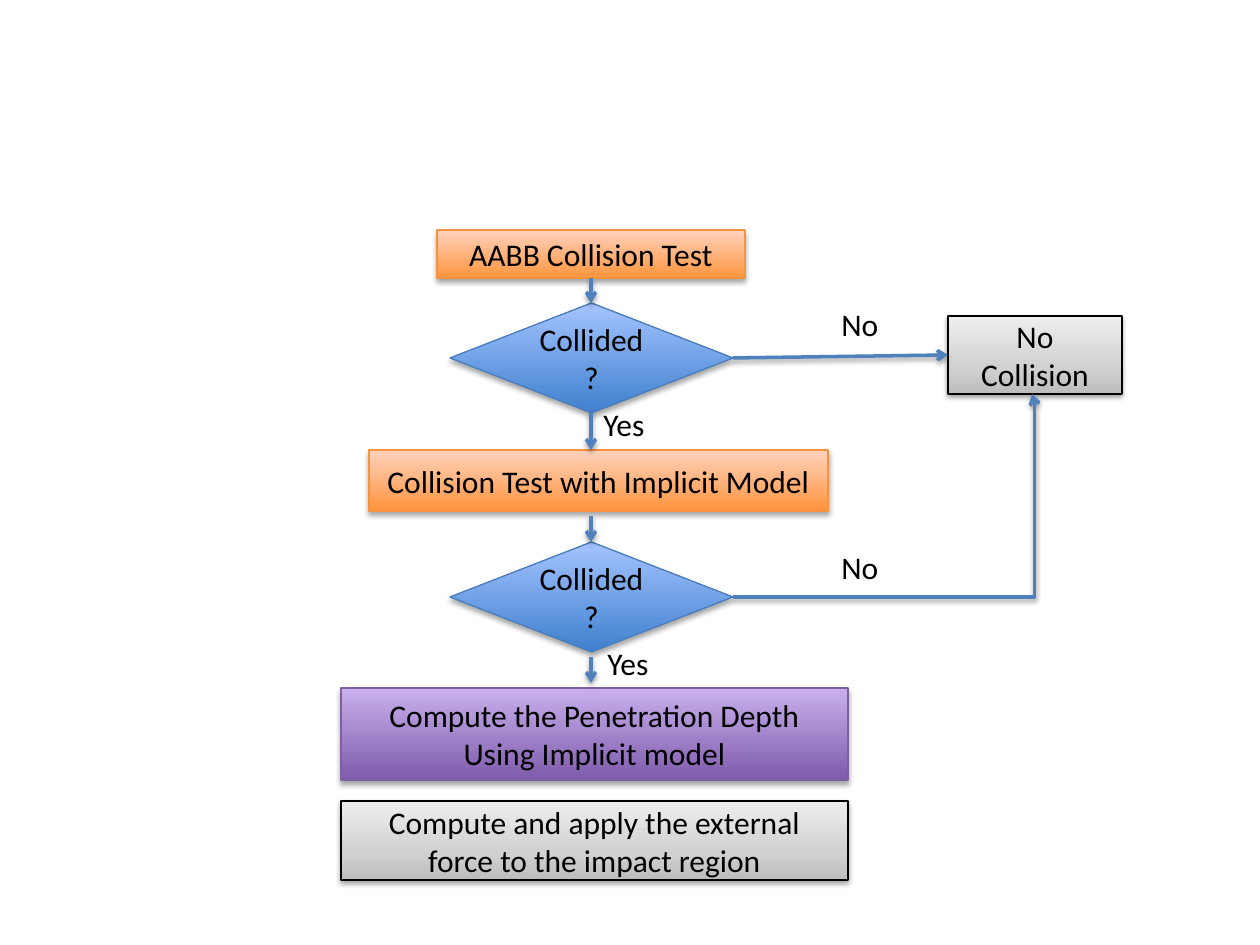
from pptx import Presentation
from pptx.dml.color import RGBColor
from pptx.enum.shapes import MSO_CONNECTOR, MSO_SHAPE
from pptx.enum.text import MSO_ANCHOR, MSO_AUTO_SIZE, PP_ALIGN
from pptx.oxml import parse_xml
from pptx.oxml.ns import nsdecls, qn
from pptx.util import Pt

PX = 914400 / 126
SLIDE = (1260, 945)
AXIS = 591

PALETTES = {
    "orange": {"stops": [(0, "FF953E"), (100, "FFD2BD")], "line": "F69240", "shadow": (35, 1.8)},
    "blue": {"stops": [(0, "3F80CE"), (100, "A4C4FF")], "line": "4B7EBC", "shadow": (35, 1.8)},
    "purple": {"stops": [(0, "7F5BAB"), (100, "C8B0ED")], "line": "7D60A0", "shadow": (35, 1.8)},
    "grey": {"stops": [(0, "BDBDBD"), (35, "D1D1D1"), (100, "EEEEEE")], "line": "000000", "shadow": (38, 1.6)},
}
STEPS = [
    ("AABB Collision Test", "orange", MSO_SHAPE.RECTANGLE, (437, 230, 308, 48)),
    ("Collided?", "blue", MSO_SHAPE.DIAMOND, (450, 303, 283, 110)),
    ("Collision Test with Implicit Model", "orange", MSO_SHAPE.RECTANGLE, (369, 450, 459, 61)),
    ("Collided?", "blue", MSO_SHAPE.DIAMOND, (450, 542, 283, 110)),
    ("Compute the Penetration Depth Using Implicit model", "purple", MSO_SHAPE.RECTANGLE, (341, 688, 507, 92)),
    ("No Collision", "grey", MSO_SHAPE.RECTANGLE, (948, 316, 174, 78)),
    ("Compute and apply the external force to the impact region", "grey", MSO_SHAPE.RECTANGLE, (341, 801, 507, 79)),
]
DOWN_ARROWS = [(278, 303), (413, 450), (516, 542), (657, 683)]
SIDE_ARROW = (733, 358, 948, 355)
RETURN_ARROW = (733, 597, 1032, 394)
RETURN_BEND = 100900
LABELS = [
    ("No", (829, 542, 63, 50)),
    ("No", (829, 299, 63, 50)),
    ("Yes", (591, 399, 69, 50)),
    ("Yes", (595, 638, 69, 50)),
]
STEP_FRAME = {"word_wrap": True, "vertical_anchor": MSO_ANCHOR.MIDDLE}
LABEL_FRAME = {"word_wrap": False, "auto_size": MSO_AUTO_SIZE.SHAPE_TO_FIT_TEXT}
FONT = {"name": "Calibri", "size": Pt(18)}


def emu(lengths):
    return [round(length * PX) for length in lengths]


def colour(value):
    return RGBColor.from_string(value)


def apply_format(target, values):
    for name, value in values.items():
        setattr(target, name, value)


def write(box, text, frame_format, alignment):
    frame = box.text_frame
    apply_format(frame, frame_format)
    para = frame.paragraphs[0]
    para.alignment = alignment
    span = para.add_run()
    span.text = text
    apply_format(span.font, FONT)
    span.font.color.rgb = colour("000000")


def set_line(item, value, width):
    item.line.color.rgb = colour(value)
    item.line.width = Pt(width)


def add_shadow(item, opacity, distance):
    item._element.spPr.append(parse_xml(
        f'<a:effectLst {nsdecls("a")}><a:outerShdw blurRad="{Pt(3.1)}" dist="{Pt(distance)}" '
        f'dir="5400000" rotWithShape="0"><a:srgbClr val="000000"><a:alpha val="{opacity * 1000}"/>'
        '</a:srgbClr></a:outerShdw></a:effectLst>'))


def set_gradient(box, stops):
    box.fill.gradient()
    box.fill.gradient_angle = 90
    stop_list = box._element.spPr.find(qn("a:gradFill")).find(qn("a:gsLst"))
    for stop in list(stop_list):
        stop_list.remove(stop)
    for position, value in stops:
        stop_list.append(parse_xml(
            f'<a:gs {nsdecls("a")} pos="{position * 1000}"><a:srgbClr val="{value}"/></a:gs>'))


def add_step(page, text, palette_name, kind, place):
    palette = PALETTES[palette_name]
    box = page.shapes.add_shape(kind, *emu(place))
    set_gradient(box, palette["stops"])
    set_line(box, palette["line"], 0.75)
    add_shadow(box, *palette["shadow"])
    write(box, text, STEP_FRAME, PP_ALIGN.CENTER)


def add_arrow(page, kind, ends):
    arrow = page.shapes.add_connector(kind, *emu(ends))
    set_line(arrow, "4F81BD", 2)
    arrow.line._get_or_add_ln().append(parse_xml(f'<a:tailEnd {nsdecls("a")} type="arrow"/>'))
    add_shadow(arrow, 38, 1.6)
    return arrow


def main():
    """Build the collision test flowchart."""
    deck = Presentation()
    deck.slide_width, deck.slide_height = emu(SLIDE)
    page = deck.slides.add_slide(deck.slide_layouts[6])
    for step in STEPS:
        add_step(page, *step)
    for top, bottom in DOWN_ARROWS:
        add_arrow(page, MSO_CONNECTOR.STRAIGHT, (AXIS, top, AXIS, bottom))
    add_arrow(page, MSO_CONNECTOR.STRAIGHT, SIDE_ARROW)
    bent = add_arrow(page, MSO_CONNECTOR.ELBOW, RETURN_ARROW)
    geometry = bent._element.spPr.find(qn("a:prstGeom"))
    geometry.get_or_add_avLst().append(parse_xml(
        f'<a:gd {nsdecls("a")} name="adj1" fmla="val {RETURN_BEND}"/>'))
    for text, place in LABELS:
        write(page.shapes.add_textbox(*emu(place)), text, LABEL_FRAME, PP_ALIGN.LEFT)
    deck.save("out.pptx")


if __name__ == "__main__":
    main()
